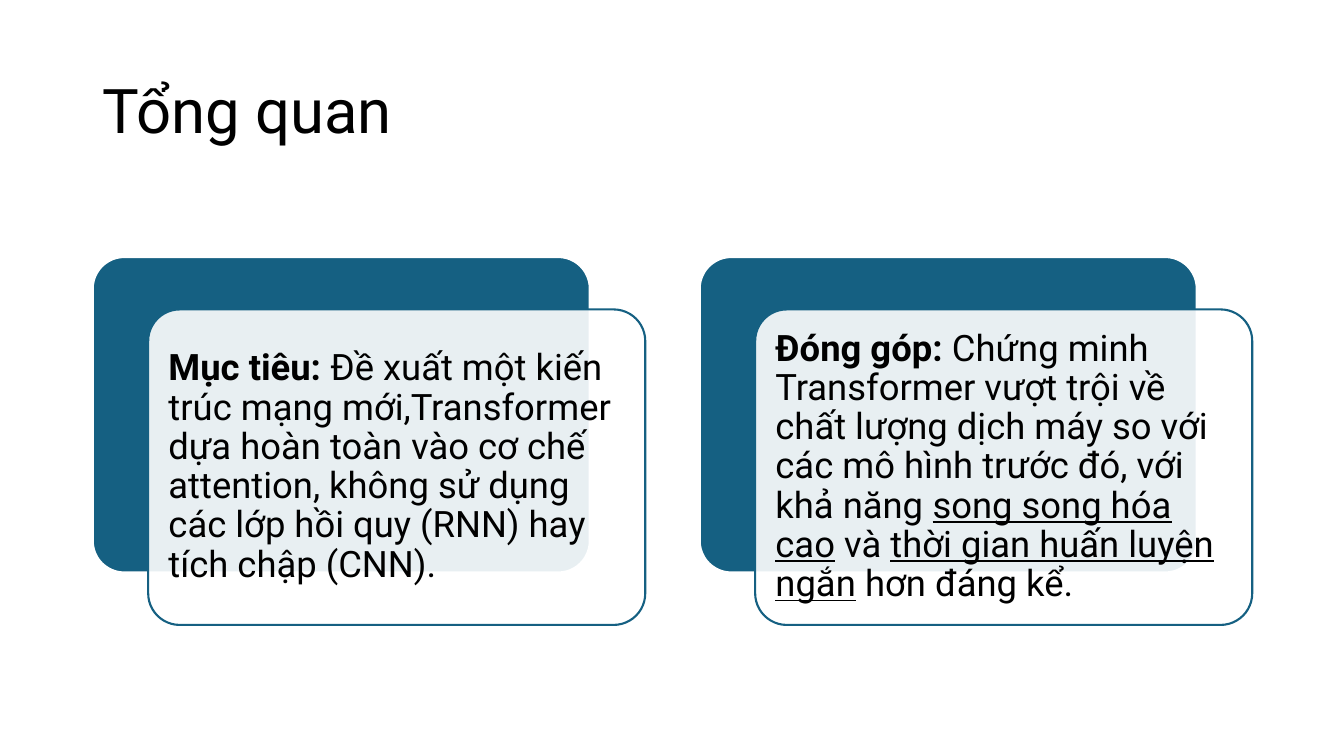
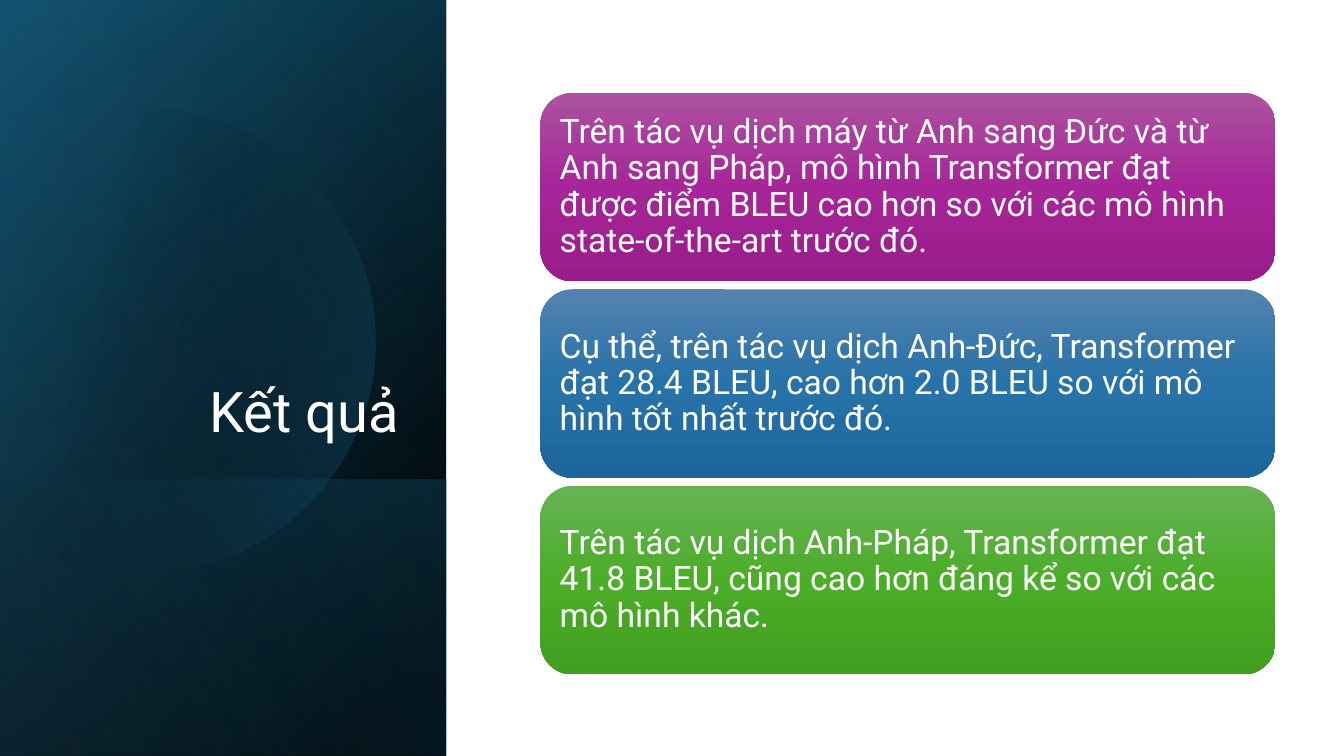
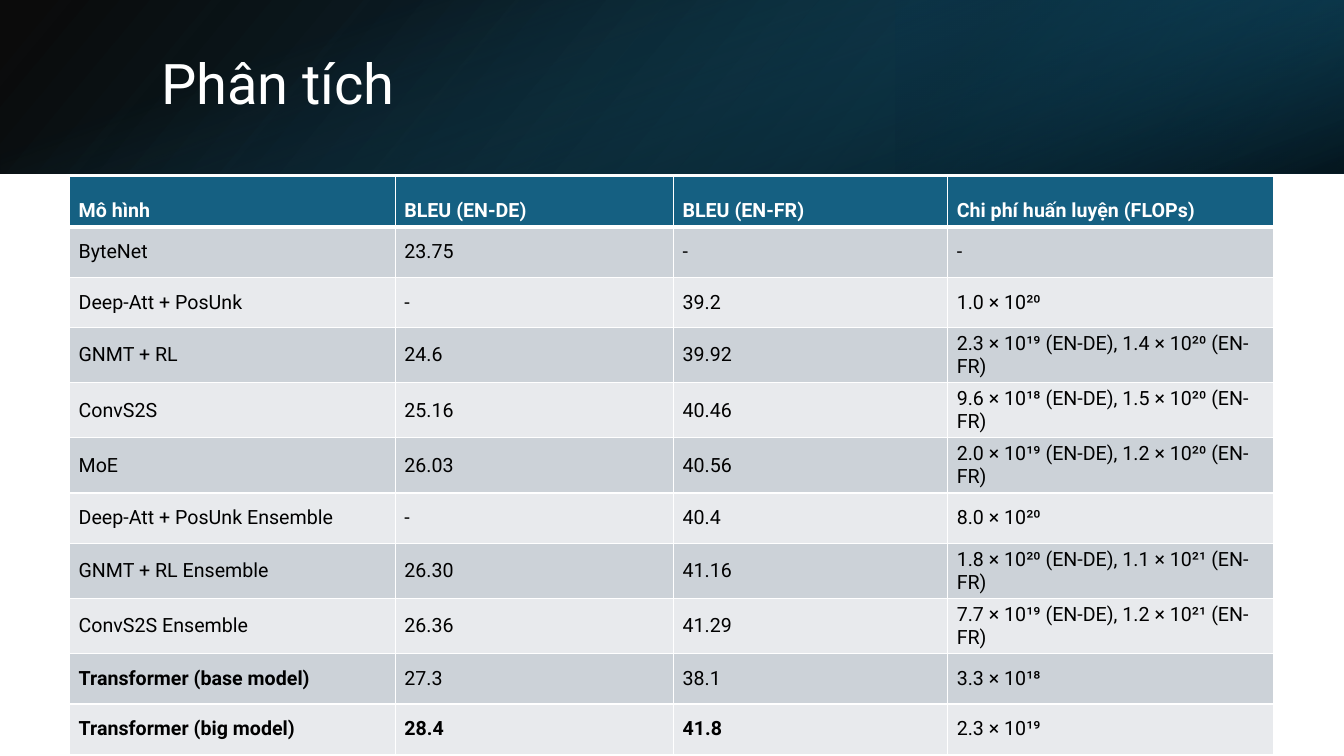
from dataclasses import dataclass
from math import acos, cos, sin
from typing import Any, NamedTuple

from pptx import Presentation
from pptx.dml.color import RGBColor
from pptx.enum.shapes import MSO_SHAPE
from pptx.enum.text import MSO_ANCHOR, PP_ALIGN
from pptx.oxml import parse_xml
from pptx.oxml.ns import nsdecls, qn
from pptx.util import Inches, Pt

# Shared look
WIDE, HIGH = 13.33, 7.5
FONT = "Roboto"
BLACK, WHITE, TEAL, NAVY = "000000", "FFFFFF", "156082", "104862"
ROWS = ("CCD2D8", "E8EAED")
SIDE = WIDE / 3 - 0.02  # width of the dark side panel
HEAD = 1.72  # height of the dark top band


class Box(NamedTuple):
    x: float
    y: float
    w: float
    h: float


class Stop(NamedTuple):
    pos: int
    color: str
    alpha: int = 100


class Run(NamedTuple):
    text: str
    bold: bool = False
    under: bool = False


@dataclass
class Band:
    """A gradient panel; box is the area it covers once turned."""
    box: Box
    stops: list[Stop]
    angle: int
    turn: int = 0
    flip: bool = True


@dataclass
class Card:
    runs: list[Run]
    shades: tuple[str, ...] = ()


@dataclass
class Row:
    cells: tuple[str, ...]
    bold: int = 0  # number of leading bold cells


# Helpers
def put(thing: Any, form: dict[str, Any]) -> None:
    for name, value in form.items():
        setattr(thing, name, value)


def rgb(color: str) -> RGBColor:
    return RGBColor.from_string(color)


def span(box: Box) -> list[int]:
    return [Inches(n) for n in box]


def tint(stop: Stop) -> str:
    return f'<a:srgbClr val="{stop.color}"><a:alpha val="{stop.alpha * 1000}"/></a:srgbClr>'


def paint(shape: Any, stops: list[Stop], angle: int = 0, edge: str = "") -> None:
    """Fill with one colour or a gradient, and set the outline."""
    if len(stops) == 1:
        xml = f'<a:solidFill {nsdecls("a")}>{tint(stops[0])}</a:solidFill>'
    else:
        marks = "".join(f'<a:gs pos="{s.pos * 1000}">{tint(s)}</a:gs>' for s in stops)
        xml = (f'<a:gradFill {nsdecls("a")} rotWithShape="1"><a:gsLst>{marks}</a:gsLst>'
               f'<a:lin ang="{angle * 60000}" scaled="0"/></a:gradFill>')
    shape.shadow.inherit = False
    shape.fill.background()
    props = shape._element.spPr
    props.replace(props.find(qn("a:noFill")), parse_xml(xml))
    if edge:
        shape.line.color.rgb = rgb(edge)
        shape.line.width = Pt(1.5)
    else:
        shape.line.fill.background()


def write(frame: Any, runs: list[Run], size: int, color: str, pad: tuple[float, float],
          anchor: Any = MSO_ANCHOR.MIDDLE, align: Any = PP_ALIGN.LEFT) -> None:
    side, top = (Inches(n) for n in pad)
    put(frame, {"word_wrap": True, "vertical_anchor": anchor, "margin_left": side,
                "margin_right": side, "margin_top": top, "margin_bottom": top})
    para = frame.paragraphs[0]
    put(para, {"alignment": align, "line_spacing": 0.9})
    for run in runs:
        part = para.add_run()
        part.text = run.text
        put(part.font, {"name": FONT, "size": Pt(size), "bold": run.bold, "underline": run.under})
        part.font.color.rgb = rgb(color)


def title(slide: Any, text: str, box: Box, size: int = 40, color: str = WHITE, **form: Any) -> None:
    frame = slide.shapes.add_textbox(*span(box)).text_frame
    write(frame, [Run(text)], size, color, (0.1, 0.05), **form)


def block(slide: Any, box: Box, stops: list[Stop], angle: int = 0, edge: str = "",
          curve: float = 0.17) -> Any:
    shape = slide.shapes.add_shape(MSO_SHAPE.ROUNDED_RECTANGLE, *span(box))
    shape.adjustments[0] = curve
    paint(shape, stops, angle, edge)
    return shape


def panel(slide: Any, band: Band) -> None:
    x, y, w, h = band.box
    if band.turn == 90:
        x, y, w, h = x + (w - h) / 2, y + (h - w) / 2, h, w
    shape = slide.shapes.add_shape(MSO_SHAPE.RECTANGLE, *span(Box(x, y, w, h)))
    shape.rotation = band.turn
    if band.flip:
        shape._element.spPr.find(qn("a:xfrm")).set("flipH", "1")
    paint(shape, band.stops, band.angle)


def disc(slide: Any, x: float, y: float, r: float, stops: list[Stop], angle: int) -> None:
    """A circle cut off at the left edge of the slide."""
    reach, steps = acos(-x / r), 72
    turns = [reach * (2 * n / steps - 1) for n in range(steps + 1)]
    spots = [(Inches(x + r * cos(t)), Inches(y + r * sin(t))) for t in turns]
    path = slide.shapes.build_freeform(*spots[0])
    path.add_line_segments(spots[1:], close=True)
    paint(path.convert_to_shape(), stops, angle)


def rule(cell: Any, low: int) -> None:
    """White cell borders, the lower one low points wide."""
    for side, size in zip("LRTB", (1, 1, 1, low)):
        cell._tc.get_or_add_tcPr().append(parse_xml(
            f'<a:ln{side} {nsdecls("a")} w="{Pt(size)}"><a:solidFill>'
            f'<a:srgbClr val="{WHITE}"/></a:solidFill></a:ln{side}>'))


def grid(slide: Any, rows: list[Row], x: float, y: float, cols: list[float], tall: float) -> None:
    box = Box(x, y, sum(cols), tall * len(rows))
    table = slide.shapes.add_table(len(rows), len(cols), *span(box)).table
    put(table, {"first_row": False, "horz_banding": False})
    for col, wide in zip(table.columns, cols):
        col.width = Inches(wide)
    for i, row in enumerate(rows):
        top = i == 0
        for j, text in enumerate(row.cells):
            cell = table.cell(i, j)
            rule(cell, 3 if top else 1)
            cell.fill.solid()
            cell.fill.fore_color.rgb = rgb(TEAL if top else ROWS[(i - 1) % 2])
            put(cell, {"vertical_anchor": MSO_ANCHOR.BOTTOM if top else MSO_ANCHOR.MIDDLE,
                       "margin_left": Inches(0.09), "margin_right": Inches(0.09),
                       "margin_top": Inches(0.04), "margin_bottom": Inches(0.04)})
            part = cell.text_frame.paragraphs[0].add_run()
            part.text = text
            put(part.font, {"name": FONT, "size": Pt(14), "bold": j < row.bold})
            part.font.color.rgb = rgb(WHITE if top else BLACK)


# Content
GOALS = [
    Card([Run("Mục tiêu:", bold=True),
          Run(" Đề xuất một kiến trúc mạng mới,Transformer dựa hoàn toàn vào cơ chế attention, "
              "không sử dụng các lớp hồi quy (RNN) hay tích chập (CNN).")]),
    Card([Run("Đóng góp:", bold=True),
          Run(" Chứng minh Transformer vượt trội về chất lượng dịch máy so với các mô hình "
              "trước đó, với khả năng "),
          Run("song song hóa cao", under=True), Run(" và "),
          Run("thời gian huấn luyện ngắn", under=True), Run(" hơn đáng kể.")]),
]
FACTS = [
    Card([Run("Trên tác vụ dịch máy từ Anh sang Đức và từ Anh sang Pháp, mô hình Transformer "
              "đạt được điểm BLEU cao hơn so với các mô hình state-of-the-art trước đó.")],
         ("AC53A0", "A62598", "991C8B")),
    Card([Run("Cụ thể, trên tác vụ dịch Anh-Đức, Transformer đạt 28.4 BLEU, cao hơn 2.0 BLEU "
              "so với mô hình tốt nhất trước đó.")], ("5382AF", "2772A9", "1D669C")),
    Card([Run("Trên tác vụ dịch Anh-Pháp, Transformer đạt 41.8 BLEU, cũng cao hơn đáng kể "
              "so với các mô hình khác.")], ("66B354", "4BAD28", "409F1E")),
]
SCORES = [
    Row(("Mô hình", "BLEU (EN-DE)", "BLEU (EN-FR)", "Chi phí huấn luyện (FLOPs)"), 4),
    Row(("ByteNet", "23.75", "-", "-")),
    Row(("Deep-Att + PosUnk", "-", "39.2", "1.0 × 10²⁰")),
    Row(("GNMT + RL", "24.6", "39.92", "2.3 × 10¹⁹ (EN-DE), 1.4 × 10²⁰ (EN-FR)")),
    Row(("ConvS2S", "25.16", "40.46", "9.6 × 10¹⁸ (EN-DE), 1.5 × 10²⁰ (EN-FR)")),
    Row(("MoE", "26.03", "40.56", "2.0 × 10¹⁹ (EN-DE), 1.2 × 10²⁰ (EN-FR)")),
    Row(("Deep-Att + PosUnk Ensemble", "-", "40.4", "8.0 × 10²⁰")),
    Row(("GNMT + RL Ensemble", "26.30", "41.16", "1.8 × 10²⁰ (EN-DE), 1.1 × 10²¹ (EN-FR)")),
    Row(("ConvS2S Ensemble", "26.36", "41.29", "7.7 × 10¹⁹ (EN-DE), 1.2 × 10²¹ (EN-FR)")),
    Row(("Transformer (base model)", "27.3", "38.1", "3.3 × 10¹⁸"), 1),
    Row(("Transformer (big model)", "28.4", "41.8", "2.3 × 10¹⁹"), 3),
]
PAGE = Box(0, 0, SIDE, HIGH)
FOOT = Box(0, 4.76, SIDE, HIGH - 4.76)
STRIP = Box(0, 0, WIDE, HEAD)
BACK = [
    Band(PAGE, [Stop(8, BLACK), Stop(100, NAVY)], 50, 90),
    Band(PAGE, [Stop(0, BLACK, 0), Stop(99, TEAL, 46)], 30, 90),
    Band(FOOT, [Stop(2, TEAL, 29), Stop(100, BLACK, 30)], 130, 90),
]
GLOW = Band(PAGE, [Stop(0, BLACK, 0), Stop(99, "46B1E1", 11)], 120, 90)
TOP = [
    Band(STRIP, [Stop(0, BLACK, 96), Stop(100, NAVY)], 140),
    Band(Box(WIDE * 2 / 3, 0, WIDE / 3, HEAD),
         [Stop(19, "0B3041", 68), Stop(100, TEAL, 79)], 320, 180),
    Band(STRIP, [Stop(23, TEAL, 0), Stop(99, BLACK, 74)], 340, 90, flip=False),
]


# Slides
def goals(slide: Any) -> None:
    title(slide, "Tổng quan", Box(0.92, 0.4, 11.5, 1.45), 44, BLACK)
    for i, card in enumerate(GOALS):
        base = Box(0.92 + 6.02 * i, 2.55, 4.93, 3.13)
        block(slide, base, [Stop(0, TEAL)], edge=WHITE, curve=0.1)
        front = base._replace(x=base.x + 0.55, y=base.y + 0.52)
        face = block(slide, front, [Stop(0, WHITE, 90)], edge=TEAL, curve=0.1)
        write(face.text_frame, card.runs, 26, BLACK, (0.11, 0.11))


def facts(slide: Any) -> None:
    for band in BACK:
        panel(slide, band)
    disc(slide, 1.42, 3.38, 2.3, [Stop(29, BLACK, 0), Stop(100, TEAL, 43)], 14)
    panel(slide, GLOW)
    title(slide, "Kết quả", Box(0.64, 1.84, 3.41, 2.62),
          anchor=MSO_ANCHOR.BOTTOM, align=PP_ALIGN.RIGHT)
    for i, card in enumerate(FACTS):
        stops = [Stop(50 * n, shade) for n, shade in enumerate(card.shades)]
        face = block(slide, Box(5.36, 0.92 + 1.95 * i, 7.29, 1.87), stops, 90)
        write(face.text_frame, card.runs, 24, WHITE, (0.1, 0.1))


def scores(slide: Any) -> None:
    for band in TOP:
        panel(slide, band)
    title(slide, "Phân tích", Box(1.5, 0.38, 10.98, 0.96))
    grid(slide, SCORES, 0.69, 1.75, [3.23, 2.76, 2.72, 3.23], 0.5)


def main() -> None:
    deck = Presentation()
    put(deck, {"slide_width": Inches(WIDE), "slide_height": Inches(HIGH)})
    for draw in (goals, facts, scores):
        draw(deck.slides.add_slide(deck.slide_layouts[6]))
    deck.save("out.pptx")


if __name__ == "__main__":
    main()
